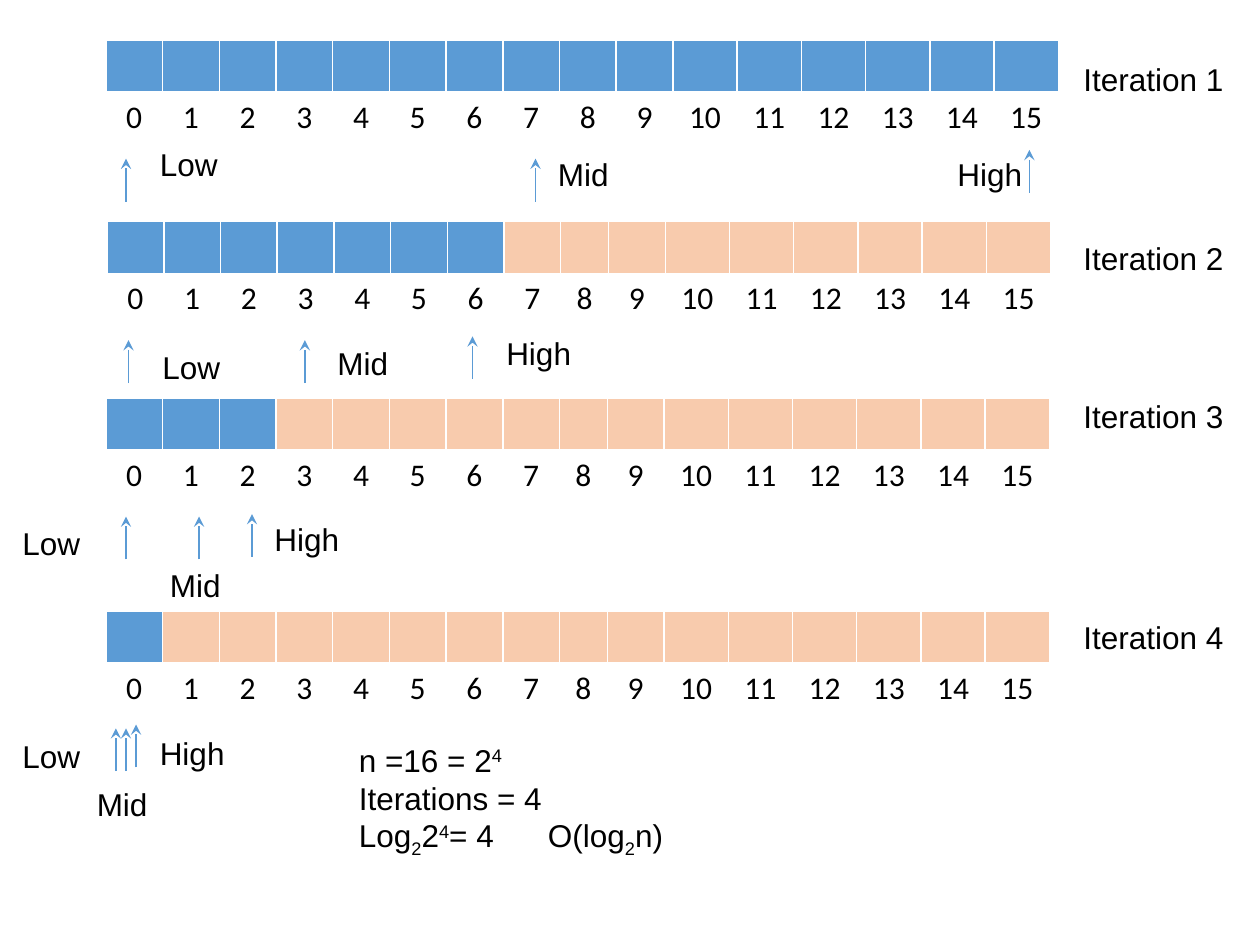
from lxml import etree
from pptx import Presentation
from pptx.dml.color import RGBColor
from pptx.enum.shapes import MSO_CONNECTOR
from pptx.enum.text import MSO_AUTO_SIZE, PP_ALIGN
from pptx.oxml import parse_xml
from pptx.oxml.ns import nsdecls, qn
from pptx.util import Inches, Pt

STRAIGHT = MSO_CONNECTOR.STRAIGHT
CENTER = PP_ALIGN.CENTER
GROW = MSO_AUTO_SIZE.SHAPE_TO_FIT_TEXT

COLORS = {"active": "5B9BD5", "discarded": "F8CBAD", "text": "000000", "paper": "FFFFFF"}
ARRAY_SIZE = 16
ARROW_LENGTH = 0.34
ROW_HEIGHTS = (0.41, 0.4)
LABEL_SIZE = (0.83, 0.4)
TITLE_LEFT, TITLE_SIZE = 8.5, (1.42, 0.4)

# Arrows are (x, tip y); labels are (text, left, top).
ITERATIONS = [
    {"title": "Iteration 1", "title_top": 0.43, "left": 0.84, "top": 0.32,
     "active": 16, "eighth_width": 0.45,
     "arrows": [(1, 1.26), (4.25, 1.26), (8.17, 1.19)],
     "labels": [("Low", 1.17, 1.1), ("Mid", 4.33, 1.18), ("High", 7.5, 1.18)]},
    {"title": "Iteration 2", "title_top": 1.85, "left": 0.85, "top": 1.76,
     "active": 7, "eighth_width": 0.38,
     "arrows": [(1.02, 2.7), (2.42, 2.7), (3.75, 2.67)],
     "labels": [("Low", 1.19, 2.71), ("Mid", 2.58, 2.68), ("High", 3.92, 2.6)]},
    {"title": "Iteration 3", "title_top": 3.1, "left": 0.84, "top": 3.16,
     "active": 3, "eighth_width": 0.38,
     "arrows": [(1, 4.1), (1.58, 4.1), (2, 4.08)],
     "labels": [("Low", 0.08, 4.11), ("Mid", 1.25, 4.44), ("High", 2.08, 4.08)]},
    {"title": "Iteration 4", "title_top": 4.86, "left": 0.84, "top": 4.85,
     "active": 1, "eighth_width": 0.38,
     "arrows": [(0.92, 5.78), (1, 5.78), (1.08, 5.75)],
     "labels": [("Low", 0.08, 5.8), ("High", 1.17, 5.78), ("Mid", 0.67, 6.18)]},
]

SUPERSCRIPT, SUBSCRIPT = 30000, -25000
COMPLEXITY = [
    [("n =16 = 2", 0), ("4", SUPERSCRIPT)],
    [("Iterations = 4", 0)],
    [("Log", 0), ("2", SUBSCRIPT), ("2", 0), ("4", SUPERSCRIPT),
     ("= 4\tO(log", 0), ("2", SUBSCRIPT), ("n)", 0)],
]


def rgb(name):
    return RGBColor.from_string(COLORS[name])


def style_font(font, family):
    font.name = family
    font.size = Pt(18)
    font.color.rgb = rgb("text")


def add_text(slide, lines, left, top, size):
    """Add a text box; each line is a list of (text, baseline shift) runs."""
    box = slide.shapes.add_textbox(*map(Inches, (left, top, *size)))
    frame = box.text_frame
    frame.word_wrap = True
    frame.auto_size = GROW
    for index, line in enumerate(lines):
        paragraph = frame.add_paragraph() if index else frame.paragraphs[0]
        for text, baseline in line:
            run = paragraph.add_run()
            run.text = text
            style_font(run.font, "Arial")
            if baseline:
                run.font._element.set("baseline", str(baseline))


def add_arrow(slide, x, tip):
    arrow = slide.shapes.add_connector(
        STRAIGHT, Inches(x), Inches(tip + ARROW_LENGTH), Inches(x), Inches(tip))
    arrow.line.color.rgb = rgb("active")
    arrow.line.width = Pt(0.75)
    etree.SubElement(arrow.line._get_or_add_ln(), qn("a:tailEnd"), type="stealth")
    etree.SubElement(arrow._element.spPr, qn("a:effectLst"))


def add_cell_borders(cell):
    properties = cell._tc.get_or_add_tcPr()
    for index, side in enumerate("LRT"):
        properties.insert(index, parse_xml(
            f'<a:ln{side} {nsdecls("a")} w="12700"><a:solidFill>'
            f'<a:srgbClr val="{COLORS["paper"]}"/></a:solidFill></a:ln{side}>'))


def fill_cell(cell, color):
    cell.fill.solid()
    cell.fill.fore_color.rgb = rgb(color)


def add_array(slide, iteration):
    """Draw the array as a coloured row above a row of indexes."""
    widths = [0.45] * 10 + [0.51] * 6
    widths[8] = iteration["eighth_width"]
    table = slide.shapes.add_table(
        2, ARRAY_SIZE, Inches(iteration["left"]), Inches(iteration["top"]),
        Inches(sum(widths)), Inches(sum(ROW_HEIGHTS))).table
    table.first_row = False
    table.horz_banding = False
    for row, height in zip(table.rows, ROW_HEIGHTS):
        row.height = Inches(height)
    for index, width in enumerate(widths):
        table.columns[index].width = Inches(width)
        element, label = table.cell(0, index), table.cell(1, index)
        fill_cell(element, "active" if index < iteration["active"] else "discarded")
        add_cell_borders(element)
        fill_cell(label, "paper")
        label.text_frame.text = str(index)
        paragraph = label.text_frame.paragraphs[0]
        paragraph.alignment = CENTER
        style_font(paragraph.runs[0].font, "Calibri")


def main():
    presentation = Presentation()
    presentation.slide_width = Inches(10)
    presentation.slide_height = Inches(7.5)
    slide = presentation.slides.add_slide(presentation.slide_layouts[6])
    for iteration in ITERATIONS:
        add_array(slide, iteration)
        for x, tip in iteration["arrows"]:
            add_arrow(slide, x, tip)
        for text, left, top in iteration["labels"]:
            add_text(slide, [[(text, 0)]], left, top, LABEL_SIZE)
        add_text(slide, [[(iteration["title"], 0)]],
                 TITLE_LEFT, iteration["title_top"], TITLE_SIZE)
    add_text(slide, COMPLEXITY, 2.75, 5.83, (4.33, 1.31))
    presentation.save("out.pptx")


if __name__ == "__main__":
    main()
